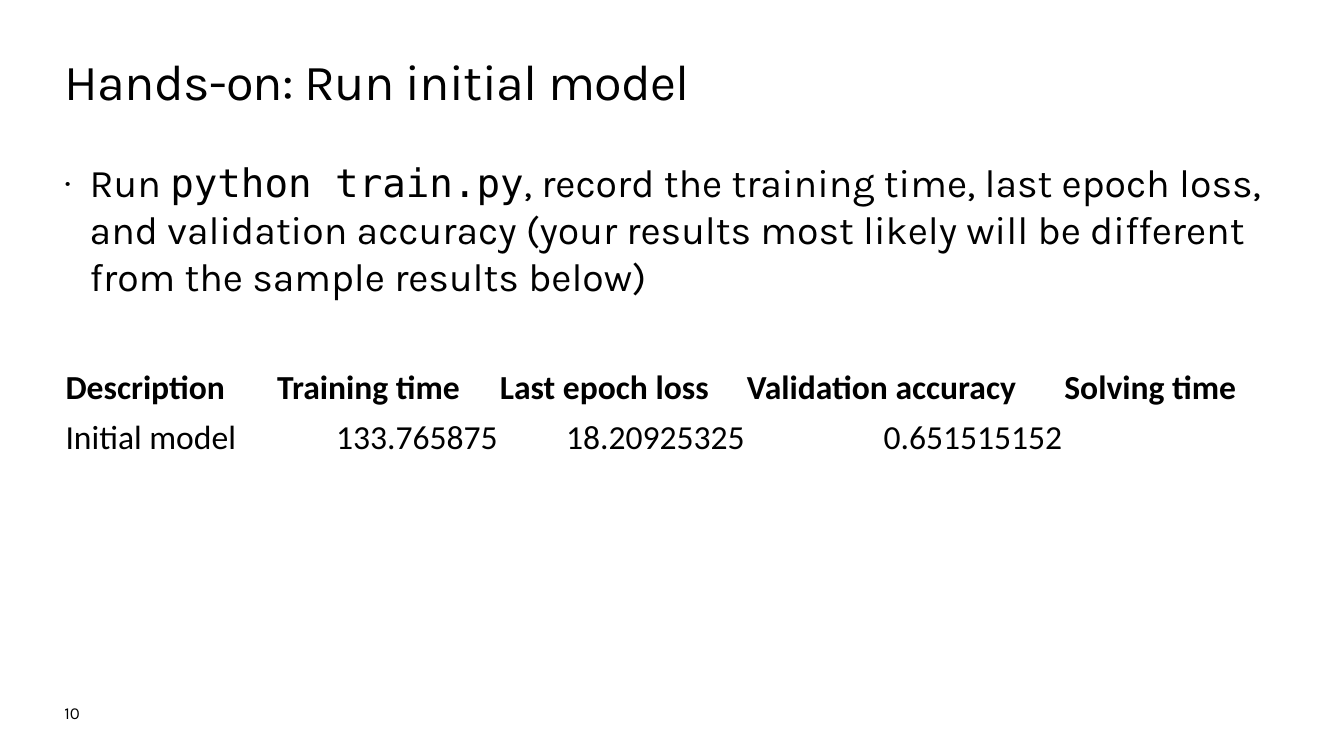
from lxml import etree
from pptx import Presentation
from pptx.dml.color import RGBColor
from pptx.enum.text import MSO_ANCHOR, MSO_AUTO_SIZE, PP_ALIGN
from pptx.oxml.ns import qn
from pptx.util import Pt

# Content
TITLE = "Hands-on: Run initial model"
TASK = [
    ("Run ", "Karla"),
    ("python train.py", "DejaVu Sans Mono"),
    (", record the training time, last epoch loss, and validation accuracy "
     "(your results most likely will be different from the sample results below)",
     "Karla"),
]
RESULTS = [
    ("Description", "Training time", "Last epoch loss", "Validation accuracy", "Solving time"),
    ("Initial model", "133.765875", "18.20925325", "0.651515152", ""),
]
PAGE_NUMBER = "10"

# Layout, in points
LEFT, WIDTH = 46.08, 867.6
COLUMN_WIDTHS = (151.2, 159.1, 176.4, 226.8, 154.1)
ROW_HEIGHT = 36
BULLET_INDENT = 18

BLACK = RGBColor(0, 0, 0)
TOP, BOTTOM = MSO_ANCHOR.TOP, MSO_ANCHOR.BOTTOM
NO_AUTOFIT = MSO_AUTO_SIZE.NONE
ALIGN_LEFT, ALIGN_RIGHT = PP_ALIGN.LEFT, PP_ALIGN.RIGHT


def place(shape, top, width, height):
    """Put a text shape on the left margin, without insets."""
    shape.left, shape.top = Pt(LEFT), Pt(top)
    shape.width, shape.height = Pt(width), Pt(height)
    frame = shape.text_frame
    frame.word_wrap = True
    frame.auto_size = NO_AUTOFIT
    frame.vertical_anchor = TOP
    frame.margin_left = frame.margin_right = frame.margin_top = frame.margin_bottom = 0
    frame.paragraphs[0].alignment = ALIGN_LEFT
    return frame.paragraphs[0]


def style(span, size, name="Karla", bold=False):
    span.font.size, span.font.name, span.font.bold = Pt(size), name, bold
    span.font.color.rgb = BLACK


deck = Presentation()
deck.slide_width, deck.slide_height = Pt(960), Pt(540)
page = deck.slides.add_slide(deck.slide_layouts[1])

# Title
heading = page.shapes.title
heading.text_frame.text = TITLE
span = place(heading, 36, WIDTH, 44).runs[0]
style(span, 36)
span.font._element.set("spc", "-50")

# Task with a small dot bullet
para = place(page.placeholders[1], 113, WIDTH, 101.5)
for text, font in TASK:
    span = para.add_run()
    span.text = text
    style(span, 28, font)
properties = para._p.get_or_add_pPr()
properties.set("marL", str(Pt(BULLET_INDENT)))
properties.set("indent", str(-Pt(BULLET_INDENT)))
etree.SubElement(properties, qn("a:buSzPct"), val="90000")
etree.SubElement(properties, qn("a:buFont"), typeface="Karla")
etree.SubElement(properties, qn("a:buChar"), char="·")

# Results table
table = page.shapes.add_table(
    len(RESULTS), len(COLUMN_WIDTHS), Pt(LEFT), Pt(255.6),
    Pt(WIDTH), Pt(ROW_HEIGHT * len(RESULTS))).table
table.first_row = table.horz_banding = False
for column, width in zip(table.columns, COLUMN_WIDTHS):
    column.width = Pt(width)
for row, values in enumerate(RESULTS):
    table.rows[row].height = Pt(ROW_HEIGHT)
    for column, value in enumerate(values):
        cell = table.cell(row, column)
        cell.fill.background()
        cell.vertical_anchor = BOTTOM
        cell.margin_left = cell.margin_right = cell.margin_top = Pt(0.75)
        cell.margin_bottom = 0
        cell.text_frame.text = value
        para = cell.text_frame.paragraphs[0]
        para.alignment = ALIGN_RIGHT if row and column else ALIGN_LEFT
        for span in para.runs:
            style(span, 24, "Calibri", bold=row == 0)

# Page number
box = page.shapes.add_textbox(0, 0, 0, 0)
box.text_frame.text = PAGE_NUMBER
style(place(box, 502, 138, 14.4).runs[0], 12)

deck.save("out.pptx")
